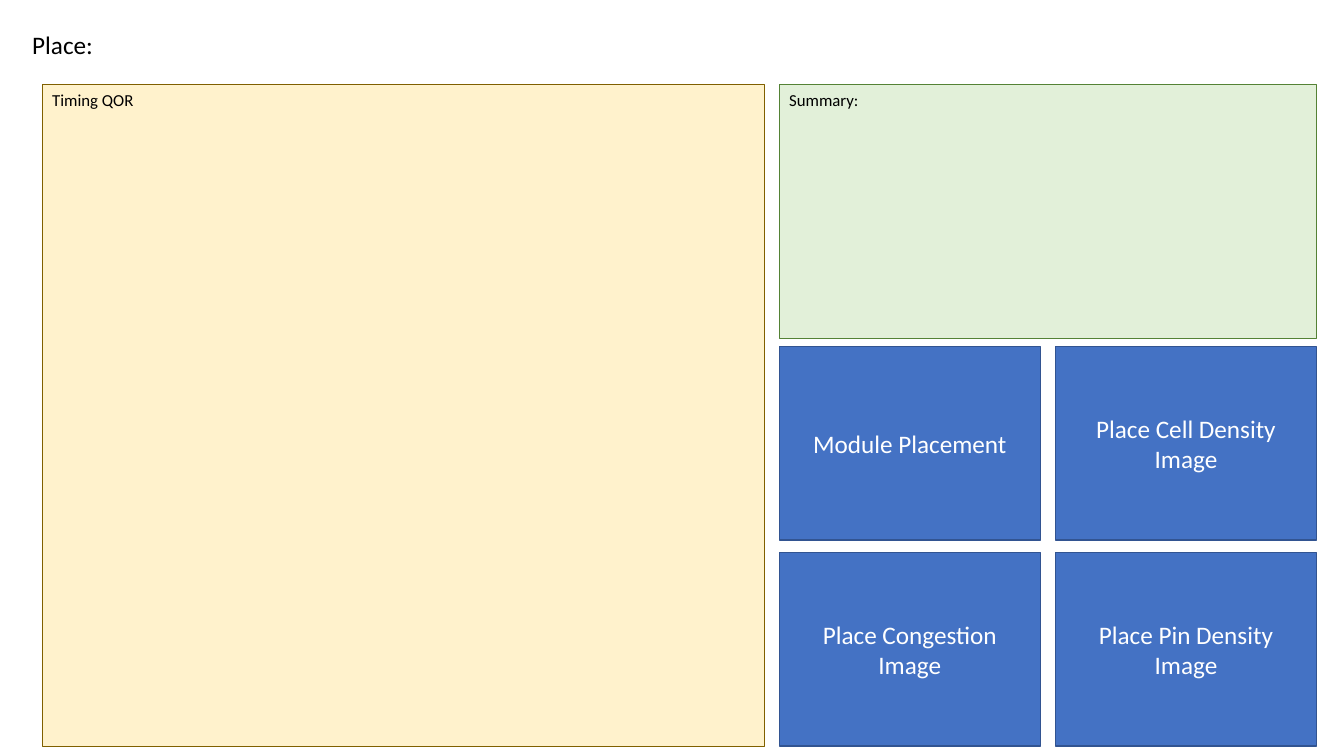
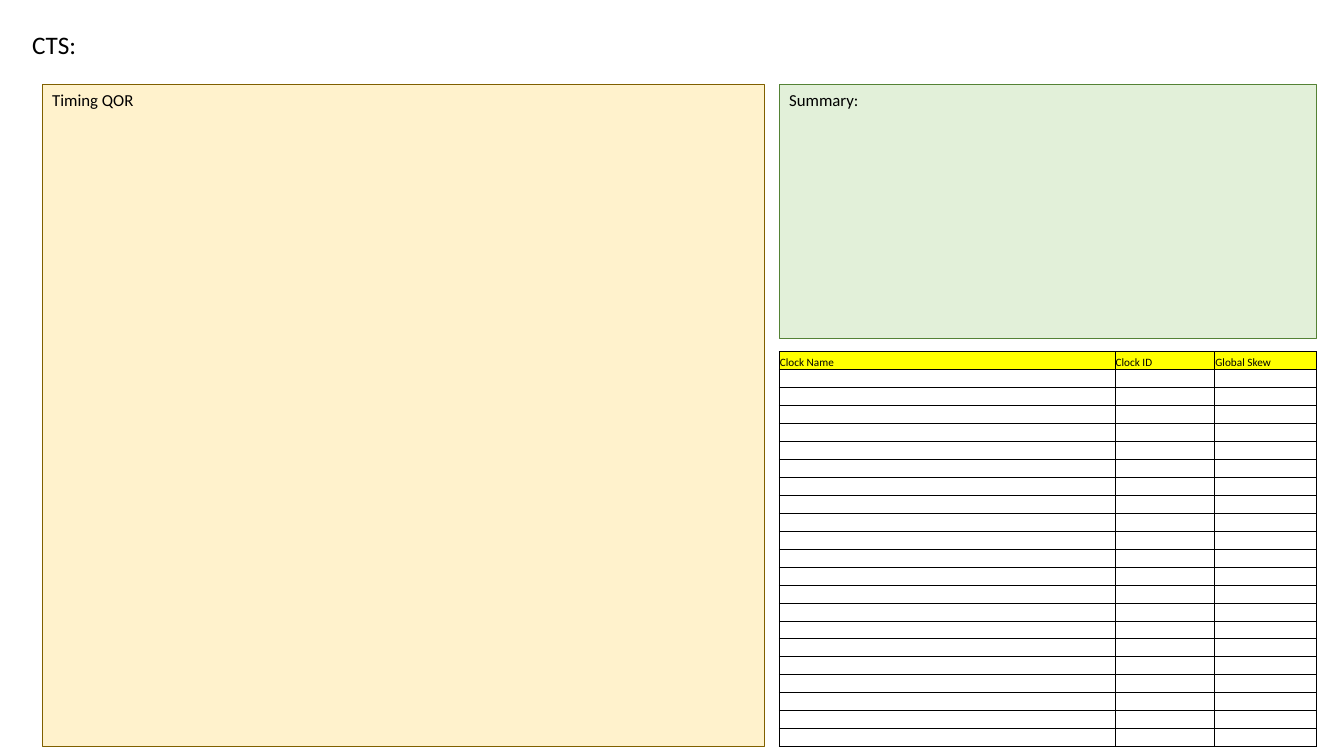
from dataclasses import dataclass

from lxml.etree import SubElement
from pptx import Presentation
from pptx.dml.color import RGBColor
from pptx.enum.shapes import MSO_SHAPE
from pptx.enum.text import MSO_ANCHOR, MSO_AUTO_SIZE, PP_ALIGN
from pptx.oxml.ns import qn
from pptx.presentation import Presentation as Deck
from pptx.slide import Slide
from pptx.table import _Cell as Cell
from pptx.text.text import TextFrame
from pptx.util import Pt

FONT = "Calibri"
BLACK, WHITE, YELLOW = "000000", "FFFFFF", "FFFF00"
TITLE_ONLY_LAYOUT = 5

# Right-hand column, in points
RIGHT_LEFT, RIGHT_WIDTH = 556.6, 383.8
TILE_WIDTH, TILE_HEIGHT = 186.5, 138.2
TILE_TOP, TILE_ROW_STEP = 247.7, 146.9

TILES = (
    ("Module Placement", "Place Cell Density Image"),
    ("Place Congestion Image", "Place Pin Density Image"),
)

# Clock table, in points
CLOCK_COLUMNS = {"Clock Name": 239.8, "Clock ID": 71.3, "Global Skew": 72.7}
CLOCK_ROWS, CLOCK_TOP, CLOCK_HEIGHT = 22, 251.3, 282.2
CLOCK_TEXT_SIZE = 8


@dataclass(frozen=True)
class Panel:
    text: str
    left: float
    top: float
    width: float
    height: float
    fill: str
    line: str
    line_width: float = 0.75
    size: float = 12
    color: str = BLACK
    align: PP_ALIGN = PP_ALIGN.LEFT
    anchor: MSO_ANCHOR = MSO_ANCHOR.TOP


SHARED_PANELS = (
    Panel("Timing QOR", 30.2, 60.7, 516.2, 472.3, "FFF2CC", "806000"),
    Panel("Summary:", RIGHT_LEFT, 60.7, RIGHT_WIDTH, 181.4, "E2F0D9", "548235"),
)


def rgb(color: str) -> RGBColor:
    return RGBColor.from_string(color)


def write_text(
    frame: TextFrame,
    text: str,
    *,
    size: float,
    color: str = BLACK,
    align: PP_ALIGN = PP_ALIGN.LEFT,
    anchor: MSO_ANCHOR = MSO_ANCHOR.TOP,
) -> None:
    frame.word_wrap = True
    frame.vertical_anchor = anchor
    para = frame.paragraphs[0]
    para.alignment = align
    span = para.add_run()
    span.text = text
    span.font.name = FONT
    span.font.size = Pt(size)
    span.font.color.rgb = rgb(color)


def add_panel(page: Slide, panel: Panel) -> None:
    box = page.shapes.add_shape(
        MSO_SHAPE.RECTANGLE,
        Pt(panel.left), Pt(panel.top), Pt(panel.width), Pt(panel.height),
    )
    box.shadow.inherit = False
    box.fill.solid()
    box.fill.fore_color.rgb = rgb(panel.fill)
    box.line.color.rgb = rgb(panel.line)
    box.line.width = Pt(panel.line_width)
    write_text(
        box.text_frame, panel.text, size=panel.size, color=panel.color,
        align=panel.align, anchor=panel.anchor,
    )


def add_page(deck: Deck, title: str) -> Slide:
    """Add a slide with its title and the two panels that every slide has."""
    page = deck.slides.add_slide(deck.slide_layouts[TITLE_ONLY_LAYOUT])
    box = page.shapes.title
    box.left, box.top, box.width, box.height = Pt(15.8), Pt(17.3), Pt(488.9), Pt(29)
    box.text_frame.auto_size = MSO_AUTO_SIZE.NONE
    write_text(box.text_frame, title, size=18)
    for panel in SHARED_PANELS:
        add_panel(page, panel)
    return page


def add_tiles(page: Slide) -> None:
    column_step = RIGHT_WIDTH - TILE_WIDTH
    for row, labels in enumerate(TILES):
        for column, label in enumerate(labels):
            add_panel(page, Panel(
                label,
                RIGHT_LEFT + column * column_step,
                TILE_TOP + row * TILE_ROW_STEP,
                TILE_WIDTH, TILE_HEIGHT, "4472C4", "325491",
                line_width=1, size=18, color=WHITE,
                align=PP_ALIGN.CENTER, anchor=MSO_ANCHOR.MIDDLE,
            ))


def add_borders(cell: Cell, color: str, width: float) -> None:
    properties = cell._tc.get_or_add_tcPr()
    for side in ("lnL", "lnR", "lnT", "lnB"):
        line = SubElement(properties, qn(f"a:{side}"), w=str(Pt(width)))
        fill = SubElement(line, qn("a:solidFill"))
        SubElement(fill, qn("a:srgbClr"), val=color)


def add_clock_table(page: Slide) -> None:
    table = page.shapes.add_table(
        CLOCK_ROWS, len(CLOCK_COLUMNS),
        Pt(RIGHT_LEFT), Pt(CLOCK_TOP), Pt(RIGHT_WIDTH), Pt(CLOCK_HEIGHT),
    ).table
    table.first_row = table.horz_banding = False
    for column, width in zip(table.columns, CLOCK_COLUMNS.values()):
        column.width = Pt(width)
    for row in table.rows:
        row.height = Pt(CLOCK_HEIGHT / CLOCK_ROWS)

    for cell in table.iter_cells():
        cell.margin_left = cell.margin_right = cell.margin_top = Pt(0.5)
        cell.margin_bottom = Pt(0)
        cell.vertical_anchor = MSO_ANCHOR.BOTTOM
        add_borders(cell, BLACK, 0.5)
        cell.fill.background()

    # Header row
    for column, heading in enumerate(CLOCK_COLUMNS):
        cell = table.cell(0, column)
        cell.fill.solid()
        cell.fill.fore_color.rgb = rgb(YELLOW)
        write_text(
            cell.text_frame, heading, size=CLOCK_TEXT_SIZE, anchor=MSO_ANCHOR.BOTTOM,
        )

    # Empty cells need a small text size to keep their rows low
    for cell in table.iter_cells():
        if not cell.text:
            para = cell.text_frame.paragraphs[0]
            SubElement(para._p, qn("a:endParaRPr"), sz=str(CLOCK_TEXT_SIZE * 100))


def main() -> None:
    deck = Presentation()
    deck.slide_width, deck.slide_height = Pt(960), Pt(540)
    add_tiles(add_page(deck, "Place:"))
    add_clock_table(add_page(deck, "CTS:"))
    deck.save("out.pptx")


if __name__ == "__main__":
    main()
